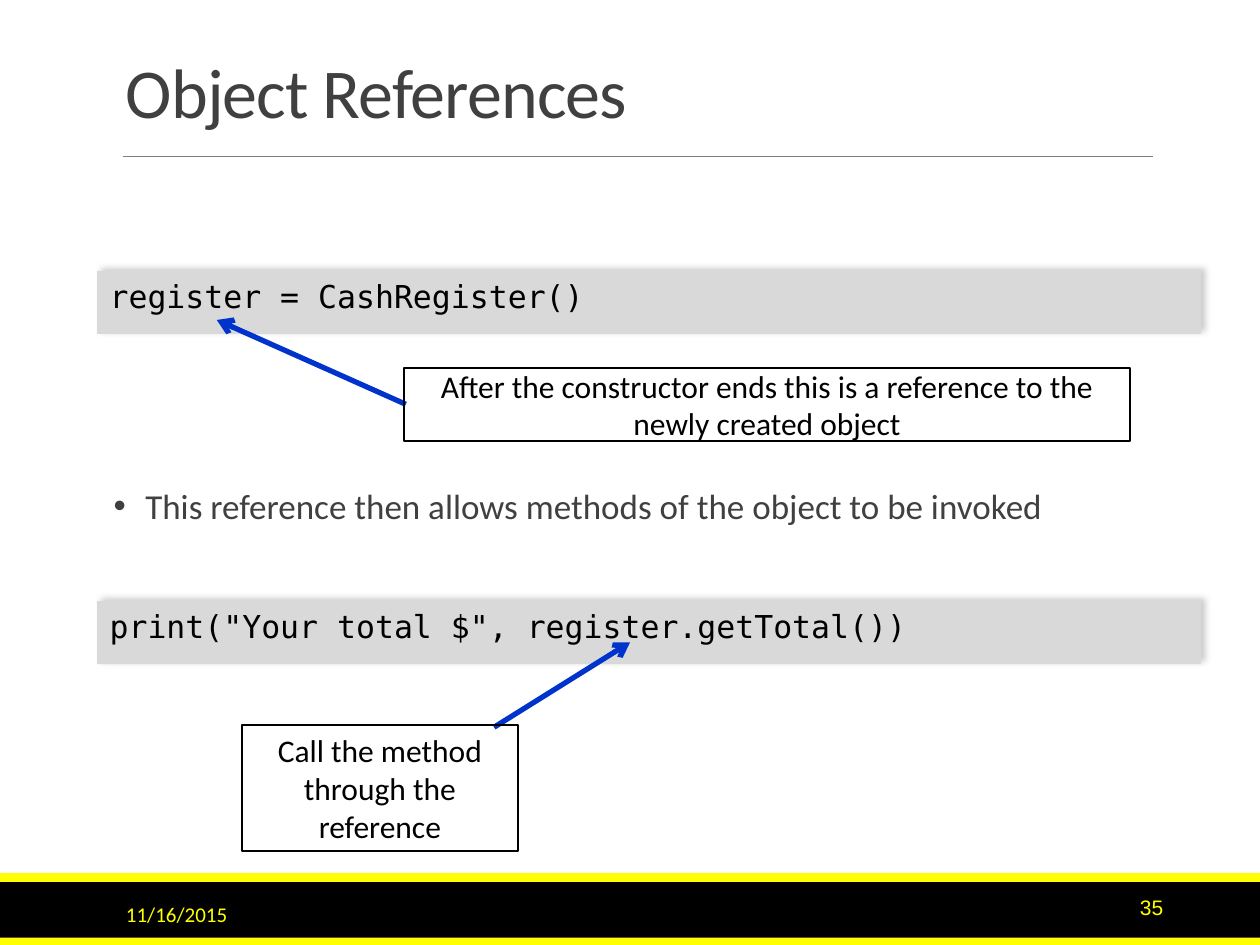
from lxml import etree
from pptx import Presentation
from pptx.dml.color import RGBColor
from pptx.enum.shapes import MSO_CONNECTOR, MSO_SHAPE
from pptx.enum.text import MSO_ANCHOR as Anchor, PP_ALIGN as Align
from pptx.oxml import parse_xml
from pptx.oxml.ns import nsdecls, qn
from pptx.util import Cm, Pt

BLACK = RGBColor(0x00, 0x00, 0x00)
YELLOW = RGBColor(0xFF, 0xFF, 0x00)
DARK_GREY = RGBColor(0x40, 0x40, 0x40)
RULE_GREY = RGBColor(0x80, 0x80, 0x80)
CODE_GREY = RGBColor(0xD9, 0xD9, 0xD9)
ARROW_BLUE = RGBColor(0x00, 0x33, 0xCC)

PAGE_WIDTH, PAGE_HEIGHT = 25.4, 19.05
MARGIN = 2.29
CONTENT_WIDTH = 20.96
CODE_LEFT, CODE_WIDTH, CODE_HEIGHT = 1.96, 22.25, 1.27

CODE_SHADOW = (
    f'<a:effectLst {nsdecls("a")}>'
    '<a:outerShdw blurRad="50800" dist="38100" dir="18900000" algn="bl" rotWithShape="0">'
    '<a:srgbClr val="808080"><a:alpha val="40000"/></a:srgbClr>'
    '</a:outerShdw></a:effectLst>'
)


def add_rectangle(page, left, top, width, height, fill=None, outline=None):
    box = page.shapes.add_shape(
        MSO_SHAPE.RECTANGLE, Cm(left), Cm(top), Cm(width), Cm(height))
    box.shadow.inherit = False
    if fill is None:
        box.fill.background()
    else:
        box.fill.solid()
        box.fill.fore_color.rgb = fill
    if outline is None:
        box.line.fill.background()
    else:
        box.line.color.rgb = outline
        box.line.width = Pt(1.25)
    return box


def add_text_box(page, left, top, width, height):
    return page.shapes.add_textbox(Cm(left), Cm(top), Cm(width), Cm(height))


def write(box, text, size, color, font="Calibri", align=Align.LEFT, anchor=Anchor.MIDDLE):
    """Fill a box with one wrapped paragraph and return that paragraph."""
    frame = box.text_frame
    frame.word_wrap = True
    frame.vertical_anchor = anchor
    frame.text = text
    para = frame.paragraphs[0]
    para.alignment = align
    span = para.runs[0]
    span.font.name = font
    span.font.size = Pt(size)
    span.font.color.rgb = color
    return para


def add_line(page, start, end, color, weight):
    line = page.shapes.add_connector(
        MSO_CONNECTOR.STRAIGHT, *(Cm(value) for value in (*start, *end)))
    line.line.color.rgb = color
    line.line.width = Pt(weight)
    etree.SubElement(line._element.spPr, qn("a:effectLst"))
    return line


def add_arrow(page, start, end):
    arrow = add_line(page, start, end, ARROW_BLUE, 3)
    etree.SubElement(arrow.line._get_or_add_ln(), qn("a:tailEnd"), type="arrow")


def add_title(page, text, left, top, width, height):
    box = add_text_box(page, left, top, width, height)
    para = write(box, text, 40, DARK_GREY, anchor=Anchor.BOTTOM)
    para.line_spacing = 0.85
    para.runs[0]._r.get_or_add_rPr().set("spc", "-50")
    rule_y = top + height + 0.36
    add_line(page, (left + 0.18, rule_y), (left + width, rule_y), RULE_GREY, 0.5)


def add_bullet(page, text, left, top, width, height):
    box = add_text_box(page, left, top, width, height)
    box.text_frame.margin_left = box.text_frame.margin_right = 0
    para = write(box, text, 20, DARK_GREY, anchor=Anchor.TOP)
    para.line_spacing = 0.9
    para.space_after = Pt(2)
    properties = para._p.get_or_add_pPr()
    properties.set("marL", str(Cm(0.64)))
    properties.set("indent", str(-Cm(0.64)))
    etree.SubElement(properties, qn("a:buFont"), typeface="Arial")
    etree.SubElement(properties, qn("a:buChar"), char="•")


def add_code(page, text, top):
    box = add_rectangle(page, CODE_LEFT, top, CODE_WIDTH, CODE_HEIGHT, CODE_GREY)
    properties = box._element.spPr
    properties.replace(properties.find(qn("a:effectLst")), parse_xml(CODE_SHADOW))
    write(box, text, 18, BLACK, "DejaVu Sans Mono", anchor=Anchor.TOP)


def add_callout(page, text, left, top, width, height, arrow_offset, target):
    """Draw a note with an arrow from an offset within it to a target point."""
    offset_x, offset_y = arrow_offset
    add_arrow(page, (left + offset_x, top + offset_y), target)
    box = add_rectangle(page, left, top, width, height, outline=BLACK)
    write(box, text, 18, BLACK, align=Align.CENTER)


def add_footer(page, date, number, top, height):
    stripe = 0.18
    add_rectangle(page, 0, top, PAGE_WIDTH, height, BLACK)
    for stripe_top in (top - stripe, top + height - stripe + 0.03):
        add_rectangle(page, 0, stripe_top, PAGE_WIDTH, stripe, YELLOW)
    date_box = add_text_box(page, MARGIN, top + 0.15, 5.16, 1.01)
    write(date_box, date, 12, YELLOW)
    number_box = add_text_box(page, 20.96, top, 2.74, 1.01)
    write(number_box, number, 12, YELLOW, "Arial", Align.RIGHT)


def build_references_slide(deck):
    page = deck.slides.add_slide(deck.slide_layouts[6])
    add_footer(page, "11/16/2015", "35", 17.78, PAGE_HEIGHT - 17.78)
    add_title(page, "Object References", MARGIN, 0.79, CONTENT_WIDTH, 2.01)
    add_bullet(page, "This reference then allows methods of the object to be invoked",
               MARGIN, 9.73, CONTENT_WIDTH, 1.63)
    add_code(page, "register = CashRegister()", 5.46)
    add_callout(page, "After the constructor ends this is a reference to the newly created object",
                8.15, 7.42, 14.63, 1.47, (0.03, 0.73), (4.37, 6.45))
    add_code(page, 'print("Your total $", register.getTotal())', 12.12)
    add_callout(page, "Call the method through the reference",
                4.88, 14.61, 5.56, 2.54, (5.08, 0.05), (12.7, 12.95))


def main():
    deck = Presentation()
    deck.slide_width, deck.slide_height = Cm(PAGE_WIDTH), Cm(PAGE_HEIGHT)
    build_references_slide(deck)
    deck.save("out.pptx")


if __name__ == "__main__":
    main()
